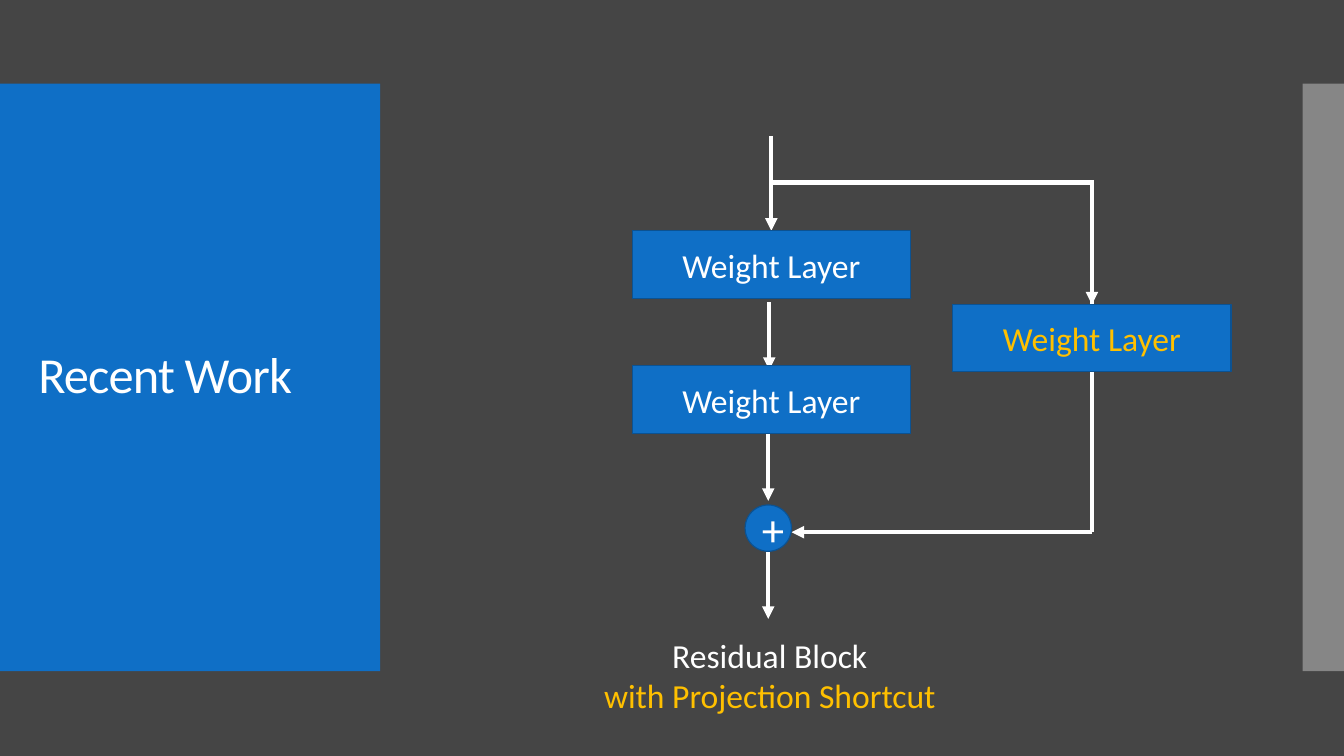
from lxml.etree import SubElement
from pptx import Presentation
from pptx.dml.color import RGBColor
from pptx.enum.shapes import MSO_CONNECTOR, MSO_SHAPE
from pptx.enum.text import MSO_ANCHOR, MSO_AUTO_SIZE, PP_ALIGN
from pptx.oxml.ns import qn
from pptx.util import Pt

PX = 9144  # 100 px to the inch
BLUE, EDGE, WHITE, GOLD = "0F6FC6", "0B5292", "FFFFFF", "FFC000"

prs = Presentation()
prs.slide_width, prs.slide_height = 1333 * PX, 750 * PX
s = prs.slides.add_slide(prs.slide_layouts[5])
s.background.fill.solid()
s.background.fill.fore_color.rgb = RGBColor.from_string("454545")


def write(p, text, size=24, color=WHITE, align=PP_ALIGN.CENTER):
    p.alignment = align
    r = p.add_run()
    r.text = text
    r.font.name, r.font.size = "Calibri", Pt(size)
    r.font.color.rgb = RGBColor.from_string(color)
    return r


def add_box(kind, x, y, w, h, fill=BLUE, line=None):
    sp = s.shapes.add_shape(kind, x * PX, y * PX, w * PX, h * PX)
    sp.shadow.inherit = False
    sp.fill.solid()
    sp.fill.fore_color.rgb = RGBColor.from_string(fill)
    if line:
        sp.line.color.rgb = RGBColor.from_string(line)
        sp.line.width = Pt(0.85)
    else:
        sp.line.fill.background()
    sp.text_frame.vertical_anchor = MSO_ANCHOR.MIDDLE
    return sp


# Side bands and title
add_box(MSO_SHAPE.RECTANGLE, 0, 83, 377, 583)
right_band = add_box(MSO_SHAPE.RECTANGLE, 1292, 83, 41, 583, fill="C8C8C8")
rgb = right_band._element.spPr.find(qn("a:solidFill")).find(qn("a:srgbClr"))
SubElement(rgb, qn("a:alpha"), val="50000")

title = s.shapes.title
s.shapes._spTree.append(title._element)  # in front of the bands
title.left, title.top, title.width, title.height = 28 * PX, 123 * PX, 322 * PX, 503 * PX
tf = title.text_frame
tf.word_wrap = True
tf.vertical_anchor = MSO_ANCHOR.MIDDLE
tf.paragraphs[0].line_spacing = 0.9
r = write(tf.paragraphs[0], "Recent Work", size=36, align=PP_ALIGN.LEFT)
r.font._element.set("spc", "-60")

# Lines of the block: x1, y1, x2, y2, arrowhead
lines = [
    (765, 135, 765, 229, True),
    (763, 300, 763, 367, True),
    (762, 430, 762, 497, True),
    (763, 181, 1083, 181, False),
    (1083, 179, 1083, 528, False),
    (1083, 528, 785, 528, True),
    (762, 547, 762, 614, True),
    (1083, 208, 1083, 302, True),
]
connectors = []
for x1, y1, x2, y2, arrow in lines:
    c = s.shapes.add_connector(MSO_CONNECTOR.STRAIGHT, x1 * PX, y1 * PX, x2 * PX, y2 * PX)
    c.line.color.rgb = RGBColor.from_string(WHITE)
    c.line.width = Pt(3)
    if arrow:
        SubElement(c.line._get_or_add_ln(), qn("a:tailEnd"), type="triangle")
    SubElement(c._element.spPr, qn("a:effectLst"))
    connectors.append(c)

# Layers and sum
layers = []
for x, y, color in [(627, 229, WHITE), (627, 363, WHITE), (945, 302, GOLD)]:
    sp = add_box(MSO_SHAPE.RECTANGLE, x, y, 276, 67, line=EDGE)
    write(sp.text_frame.paragraphs[0], "Weight Layer", color=color)
    layers.append(sp)
connectors[0].end_connect(layers[0], 0)
connectors[-1].end_connect(layers[2], 0)

plus = add_box(MSO_SHAPE.OVAL, 739, 501, 46, 46, line=EDGE)
write(plus.text_frame.paragraphs[0], "+", size=32)

# Caption
caption = s.shapes.add_textbox(584 * PX, 625 * PX, 359 * PX, 91 * PX)
tf = caption.text_frame
tf.word_wrap = False
tf.auto_size = MSO_AUTO_SIZE.SHAPE_TO_FIT_TEXT
write(tf.paragraphs[0], "Residual Block")
write(tf.add_paragraph(), "with Projection Shortcut", color=GOLD)

prs.save("out.pptx")
